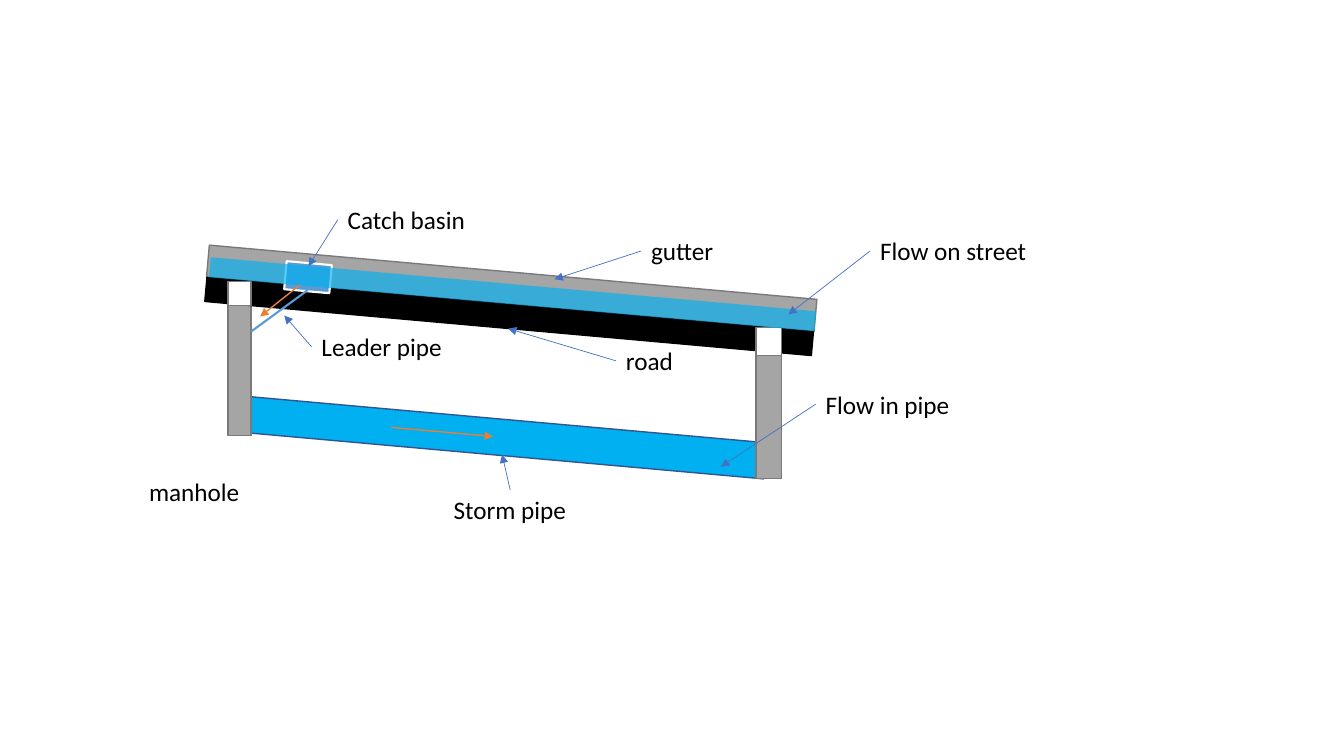
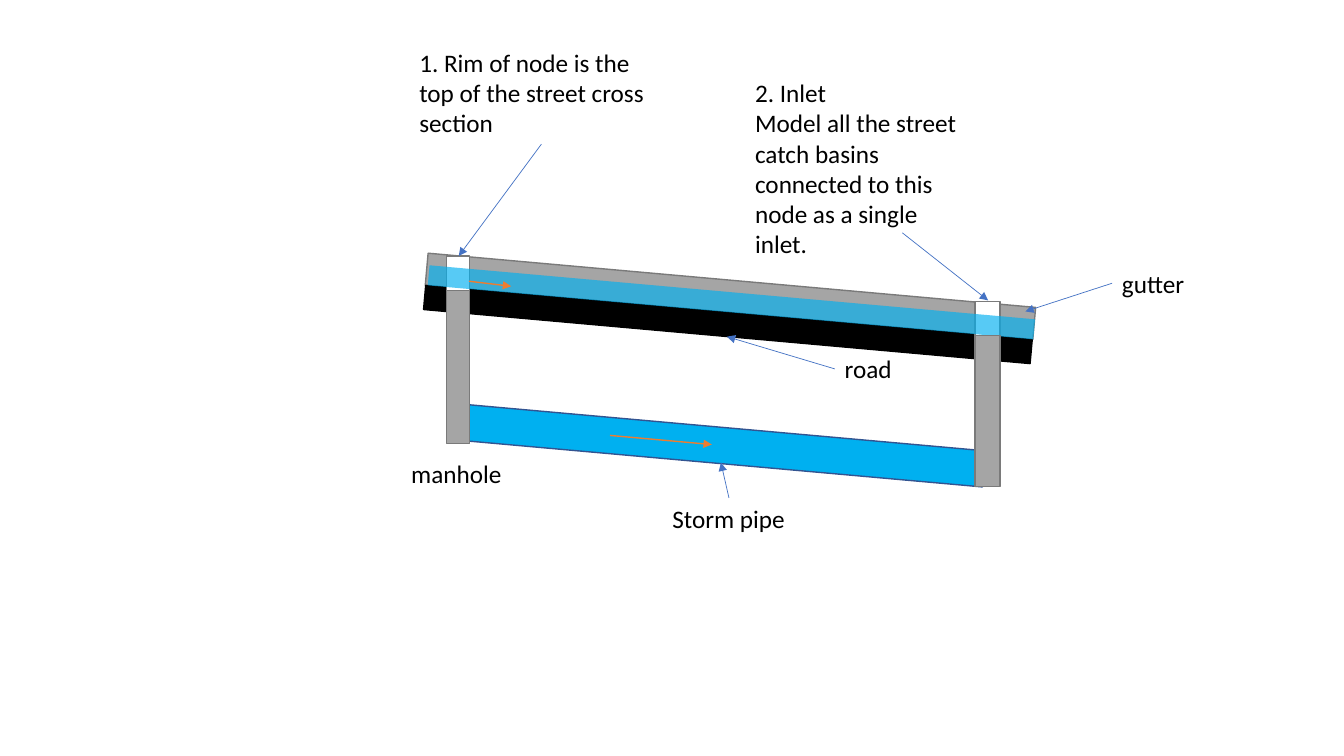
from lxml import etree
from pptx import Presentation
from pptx.dml.color import RGBColor
from pptx.enum.shapes import MSO_CONNECTOR, MSO_SHAPE
from pptx.enum.text import MSO_AUTO_SIZE
from pptx.oxml.ns import qn
from pptx.util import Inches, Pt

RECTANGLE = MSO_SHAPE.RECTANGLE
STRAIGHT = MSO_CONNECTOR.STRAIGHT
FIT_TEXT = MSO_AUTO_SIZE.SHAPE_TO_FIT_TEXT

FONT, TEXT_SIZE = "Calibri", 18
BLACK, WHITE = "000000", "FFFFFF"
WATER, PIPE_EDGE = "00B0F0", "325491"
CONCRETE, CONCRETE_EDGE = "A5A5A5", "7A7A7A"
BASIN = "5B9BD5"
POINTER, FLOW_ARROW = "4472C4", "ED7D31"

SLOPE = 5.1  # degrees of fall along street and pipe
LABEL_HEIGHT = 0.4


def color(value):
    return RGBColor.from_string(value)


def add_box(slide, left, top, width, height, fill, edge=None, edge_width=1,
            rotation=0, opacity=100):
    box = slide.shapes.add_shape(
        RECTANGLE, Inches(left), Inches(top), Inches(width), Inches(height))
    box.shadow.inherit = False
    box.rotation = rotation
    box.fill.solid()
    box.fill.fore_color.rgb = color(fill)
    if opacity < 100:
        fill_color = box._element.spPr.find(qn("a:solidFill"))[0]
        etree.SubElement(fill_color, qn("a:alpha"), val=str(opacity * 1000))
    if edge:
        box.line.color.rgb = color(edge)
        box.line.width = Pt(edge_width)
    else:
        box.line.fill.background()


def add_line(slide, start, end, line_color, width, arrow=True):
    line = slide.shapes.add_connector(
        STRAIGHT, *(Inches(value) for value in (*start, *end)))
    line.line.color.rgb = color(line_color)
    line.line.width = Pt(width)
    properties = line._element.spPr
    if arrow:
        outline = properties.find(qn("a:ln"))
        etree.SubElement(outline, qn("a:tailEnd"), type="triangle")
    etree.SubElement(properties, qn("a:effectLst"))


def add_pointer(slide, start, end):
    add_line(slide, start, end, POINTER, 0.5)


def add_flow_arrow(slide, start, end):
    add_line(slide, start, end, FLOW_ARROW, 1)


def add_text(slide, paragraphs, left, top, width, height=LABEL_HEIGHT, wrap=False):
    box = slide.shapes.add_textbox(
        Inches(left), Inches(top), Inches(width), Inches(height))
    frame = box.text_frame
    frame.word_wrap = wrap
    frame.auto_size = FIT_TEXT
    for index, text in enumerate(paragraphs):
        para = frame.add_paragraph() if index else frame.paragraphs[0]
        span = para.add_run()
        span.text = text
        span.font.name = FONT
        span.font.size = Pt(TEXT_SIZE)
        span.font.color.rgb = color(BLACK)


def add_callout(slide, text, left, top, width, tip):
    """Label with a pointer from the middle of its left edge to tip."""
    add_text(slide, [text], left, top, width)
    add_pointer(slide, (left, top + LABEL_HEIGHT / 2), tip)


def add_concrete(slide, boxes, fill=CONCRETE):
    for box in boxes:
        add_box(slide, *box, fill, CONCRETE_EDGE)


def add_storm_pipe(slide, x, y):
    add_box(slide, x + 2.38, y + 4.16, 5.22, 0.36, WATER, PIPE_EDGE, rotation=SLOPE)


def add_street(slide, x, y):
    add_box(slide, x + 2.05, y + 2.7, 6.05, 0.32, CONCRETE, CONCRETE_EDGE,
            rotation=SLOPE)
    add_box(slide, x + 2.03, y + 3.02, 6.04, 0.24, BLACK, BLACK, rotation=SLOPE)


def add_street_flow(slide, x, y):
    add_box(slide, x + 2.07, y + 2.82, 6.03, 0.2, WATER, rotation=SLOPE, opacity=66)


def add_shared_labels(slide, x, y):
    """Road and storm pipe labels, and the flow arrow inside the pipe."""
    add_callout(slide, "road", x + 6.11, y + 3.38, 0.67, (x + 5.04, y + 3.26))
    add_text(slide, ["Storm pipe"], x + 4.4, y + 4.86, 1.33)
    add_pointer(slide, (x + 5.06, y + 4.86), (x + 4.98, y + 4.51))
    add_flow_arrow(slide, (x + 3.88, y + 4.24), (x + 4.89, y + 4.33))


def build_street_drainage(slide):
    origin = (0, 0)
    add_storm_pipe(slide, *origin)
    add_concrete(slide, [(2.26, 2.79, 0.23, 1.53), (7.5, 3.25, 0.25, 1.5)])
    add_street(slide, *origin)
    add_concrete(slide, [(2.26, 2.79, 0.23, 0.24), (7.5, 3.25, 0.25, 0.28)], WHITE)
    add_box(slide, 2.83, 2.61, 0.45, 0.28, BASIN, WHITE, 1.5, rotation=5)
    add_line(slide, (3.05, 2.88), (2.49, 3.29), BASIN, 1.5, arrow=False)
    add_text(slide, ["manhole"], 1.38, 4.68, 1.11)
    for callout in [
        ("gutter", 6.36, 2.29, 0.83, (5.5, 2.77)),
        ("Catch basin", 3.35, 1.98, 1.38, (3.06, 2.64)),
        ("Leader pipe", 3.09, 3.24, 1.41, (2.82, 3.13)),
    ]:
        add_callout(slide, *callout)
    add_street_flow(slide, *origin)
    add_flow_arrow(slide, (2.97, 2.83), (2.58, 3.14))
    add_shared_labels(slide, *origin)
    add_callout(slide, "Flow on street", 8.63, 2.29, 1.67, (7.82, 3.12))
    add_callout(slide, "Flow in pipe", 8.09, 3.81, 1.45, (7.15, 4.63))


def build_node_model(slide):
    origin = (2.17, 0.08)
    add_storm_pipe(slide, *origin)
    add_street(slide, *origin)
    add_concrete(slide, [(4.43, 2.54, 0.23, 0.35), (9.67, 2.99, 0.25, 0.34)], WHITE)
    add_text(slide, ["manhole"], 3.98, 4.5, 1.11)
    add_callout(slide, "gutter", 11.03, 2.61, 0.83, (10.17, 3.09))
    add_text(slide, [
        "2. Inlet",
        "Model all the street catch basins connected to this node as a single inlet.",
    ], 7.39, 0.72, 2.35, 1.92, wrap=True)
    add_pointer(slide, (8.95, 2.31), (9.8, 2.98))
    add_street_flow(slide, *origin)
    add_flow_arrow(slide, (4.65, 2.79), (5.07, 2.84))
    add_shared_labels(slide, *origin)
    add_concrete(slide, [(4.43, 2.88, 0.23, 1.52), (9.67, 3.33, 0.25, 1.5)])
    add_text(slide, ["1. Rim of node is the top of the street cross section"],
             4.06, 0.42, 2.61, 1.01, wrap=True)
    add_pointer(slide, (5.37, 1.43), (4.55, 2.54))


def main():
    deck = Presentation()
    deck.slide_width, deck.slide_height = Inches(13.33), Inches(7.5)
    blank = deck.slide_layouts[6]
    for build in (build_street_drainage, build_node_model):
        build(deck.slides.add_slide(blank))
    deck.save("out.pptx")


if __name__ == "__main__":
    main()
